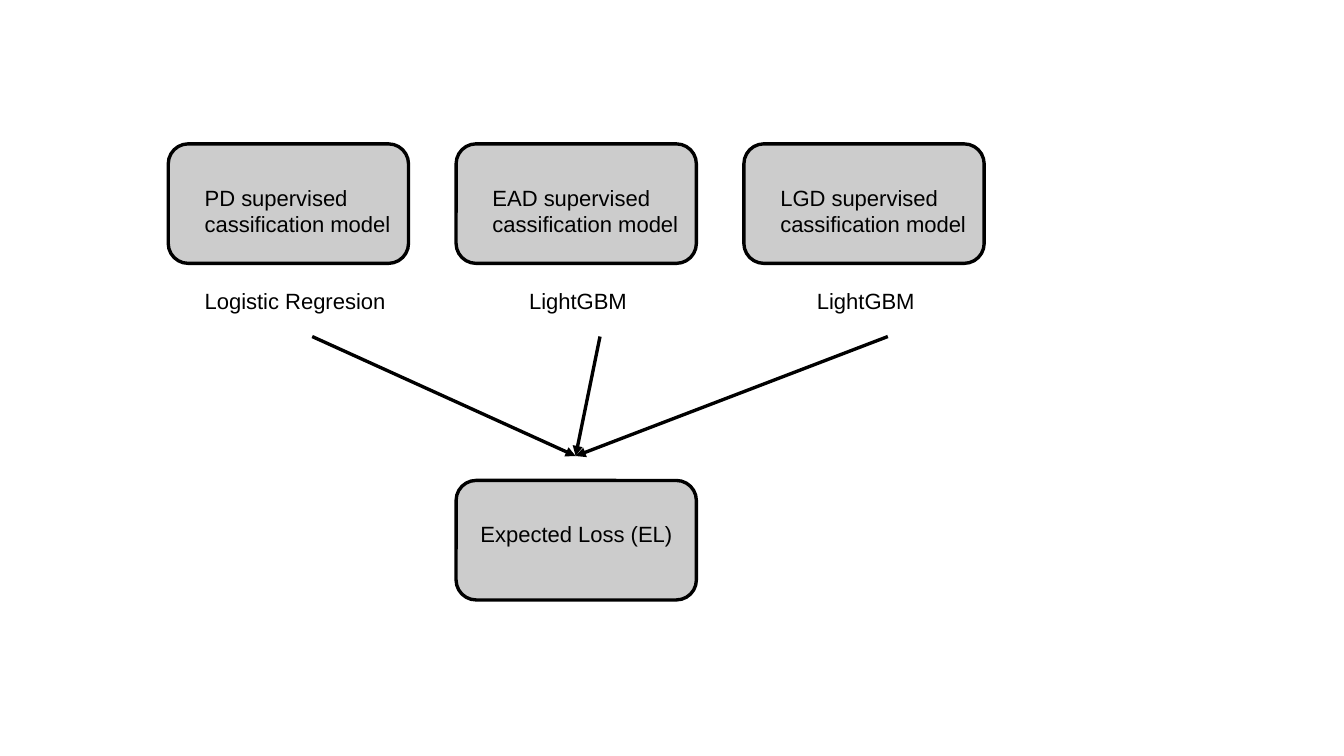
from pptx import Presentation
from pptx.dml.color import RGBColor
from pptx.enum.shapes import MSO_CONNECTOR, MSO_SHAPE
from pptx.oxml.ns import qn
from pptx.util import Inches, Pt
from lxml.etree import SubElement

BLACK = RGBColor(0x00, 0x00, 0x00)
GREY = RGBColor(0xCC, 0xCC, 0xCC)
CARD_W, CARD_H = 1.97, 0.98
PITCH = 2.36
LINE = Pt(1.98)


def add_text(slide, box, lines, left=0.1, size=13, font="Arial", color=BLACK):
    """Write lines given as (text, space before in points, indent in inches)."""
    frame = slide.shapes.add_textbox(*map(Inches, box)).text_frame
    frame.word_wrap = True
    frame.margin_left, frame.margin_right = Inches(left), Inches(0.1)
    frame.margin_top, frame.margin_bottom = Inches(0.26), Inches(0.05)
    for i, (text, gap, indent) in enumerate(lines):
        para = frame.add_paragraph() if i else frame.paragraphs[0]
        if indent:
            props = para._p.get_or_add_pPr()
            props.set("marL", str(Inches(indent)))
            props.set("indent", "0")
        if gap:
            para.space_before = Pt(gap)
        run = para.add_run()
        run.text = text
        run.font.size, run.font.name = Pt(size), font
        run.font.color.rgb = color


def add_card(slide, x, y):
    card = slide.shapes.add_shape(
        MSO_SHAPE.ROUNDED_RECTANGLE, *map(Inches, (x, y, CARD_W, CARD_H)))
    card.adjustments[0] = 0.167
    card.shadow.inherit = False
    card.fill.solid()
    card.fill.fore_color.rgb = GREY
    card.line.color.rgb = BLACK
    card.line.width = LINE


def add_arrow(slide, start, end):
    arrow = slide.shapes.add_connector(
        MSO_CONNECTOR.STRAIGHT, *map(Inches, start + end))
    arrow.line.color.rgb = BLACK
    arrow.line.width = LINE
    SubElement(arrow.line._get_or_add_ln(), qn("a:tailEnd"), type="triangle")
    SubElement(arrow._element.spPr, qn("a:effectLst"))


def add_model(slide, x, y, name, method, indent, goal):
    # Card, its two labels, and the arrow to the result
    add_card(slide, x, y)
    add_text(slide, (x + 0.2, y + 0.07, 1.77, 1.31), [
        (f"{name} supervised cassification model", 0, 0),
        (method, 30, indent),
    ])
    add_arrow(slide, (x + 1.18, y + 1.58), goal)


def add_result(slide, x, y):
    add_card(slide, x, y)
    add_text(slide, (x, y + 0.07, CARD_W, 1.31),
             [("Expected Loss (EL)", 0, 0)], left=0.2)


def main():
    deck = Presentation()
    deck.slide_width, deck.slide_height = Inches(11.02), Inches(6.2)
    slide = deck.slides.add_slide(deck.slide_layouts[6])

    # Three models in a row
    models = [("PD", "Logistic Regresion", 0),
              ("EAD", "LightGBM", 0.3),
              ("LGD", "LightGBM", 0.3)]
    for i, (name, method, indent) in enumerate(models):
        add_model(slide, 1.38 + i * PITCH, 1.18, name, method, indent,
                  goal=(4.72, 3.74))

    # Combined result below the middle model
    add_result(slide, 1.38 + PITCH, 3.94)
    deck.save("out.pptx")


if __name__ == "__main__":
    main()
